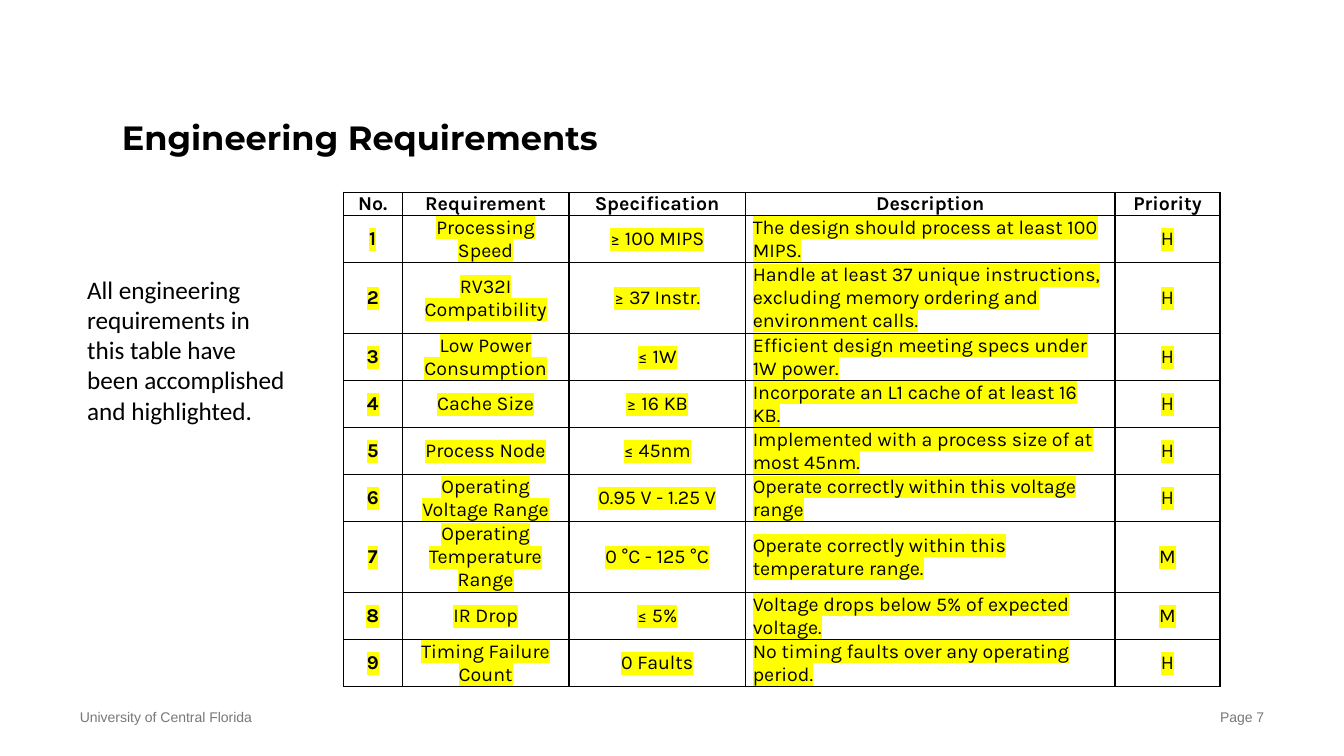
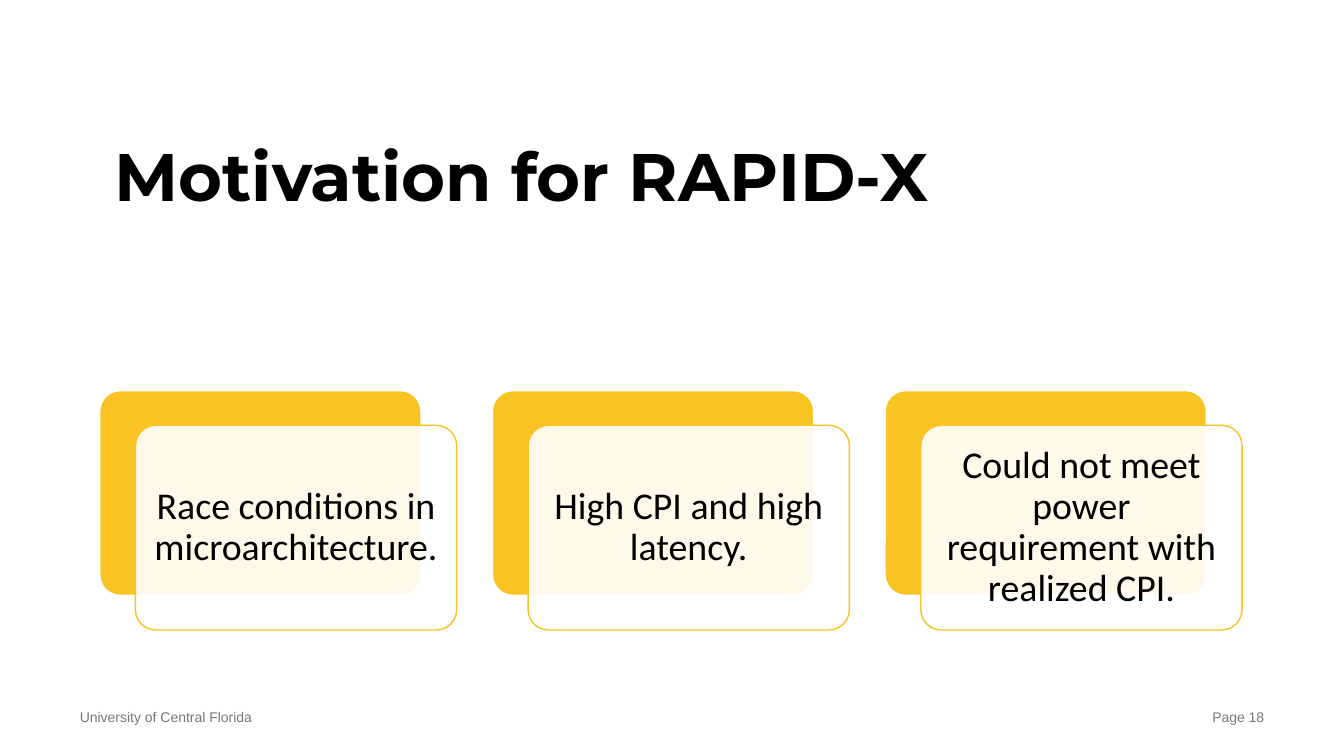
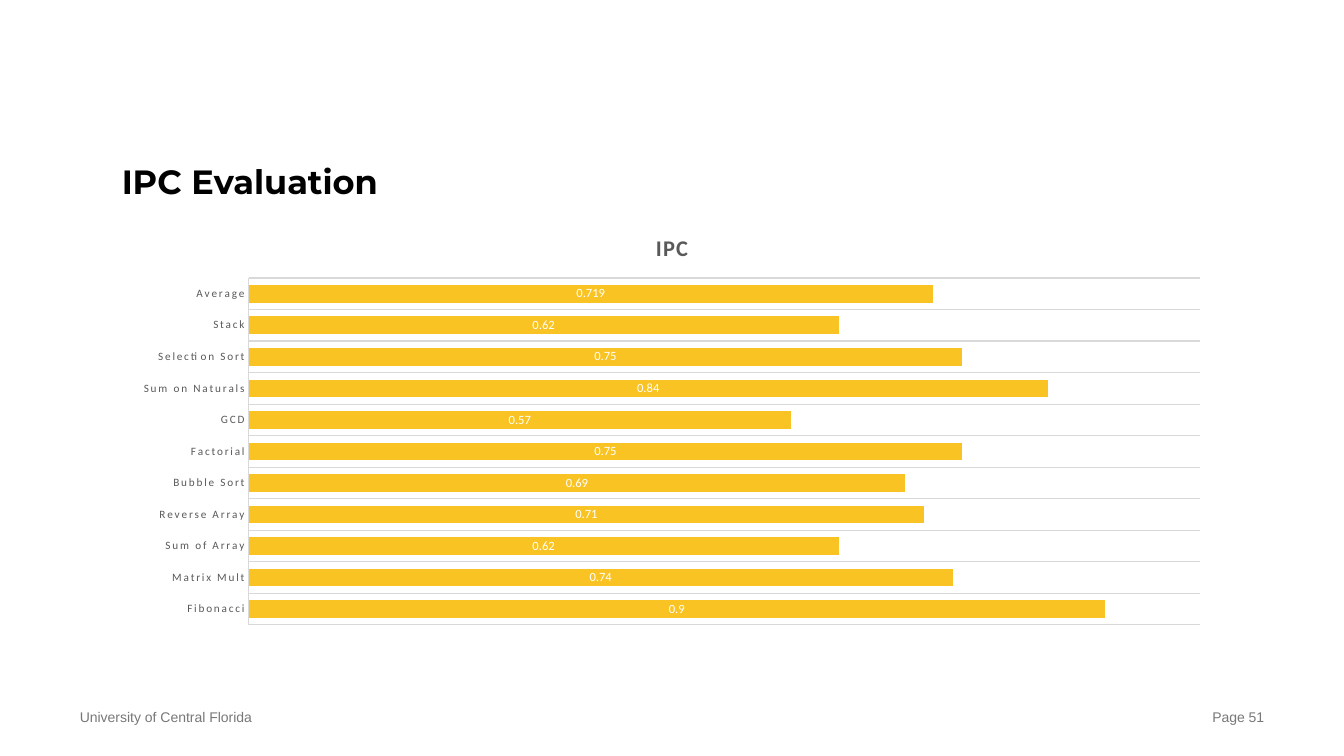
from lxml import etree
from pptx import Presentation
from pptx.chart.data import CategoryChartData
from pptx.dml.color import RGBColor
from pptx.enum.chart import XL_CHART_TYPE, XL_LABEL_POSITION, XL_TICK_MARK
from pptx.enum.shapes import MSO_SHAPE
from pptx.enum.text import MSO_ANCHOR, PP_ALIGN
from pptx.oxml.ns import qn
from pptx.util import Pt

PX = 9525  # EMU per px, 96 px to the inch

BLACK = RGBColor(0x00, 0x00, 0x00)
WHITE = RGBColor(0xFF, 0xFF, 0xFF)
GOLD = RGBColor(0xF8, 0xC3, 0x23)
YELLOW = RGBColor(0xFF, 0xFF, 0x00)
FOOTER_GREY = RGBColor(0x78, 0x78, 0x78)
CHART_GREY = RGBColor(0x59, 0x59, 0x59)
GRID_GREY = RGBColor(0xD9, 0xD9, 0xD9)

TITLE_FONT, BODY_FONT, TABLE_FONT, FOOTER_FONT = "Montserrat", "Calibri", "Karla", "Arial"

LEFT, CENTER, RIGHT = PP_ALIGN.LEFT, PP_ALIGN.CENTER, PP_ALIGN.RIGHT
TOP, MIDDLE, BOTTOM = MSO_ANCHOR.TOP, MSO_ANCHOR.MIDDLE, MSO_ANCHOR.BOTTOM
ROUNDED = MSO_SHAPE.ROUNDED_RECTANGLE
BAR_STACKED = XL_CHART_TYPE.BAR_STACKED
LABEL_CENTER = XL_LABEL_POSITION.CENTER
NO_TICK = XL_TICK_MARK.NONE

COLUMN_WIDTHS = (56, 159, 168, 352, 100)
TEXT_LINE = 21
HEADER = ("No.", "Requirement", "Specification", "Description", "Priority")
# Requirement, specification, description, priority, lines of text
REQUIREMENTS = (
    ("Processing Speed", "≥ 100 MIPS",
     "The design should process at least 100 MIPS.", "H", 2),
    ("RV32I Compatibility", "≥ 37 Instr.",
     "Handle at least 37 unique instructions, excluding memory ordering "
     "and environment calls.", "H", 3),
    ("Low Power Consumption", "≤ 1W",
     "Efficient design meeting specs under 1W power.", "H", 2),
    ("Cache Size", "≥ 16 KB",
     "Incorporate an L1 cache of at least 16 KB.", "H", 2),
    ("Process Node", "≤ 45nm",
     "Implemented with a process size of at most 45nm.", "H", 2),
    ("Operating Voltage Range", "0.95 V - 1.25 V",
     "Operate correctly within this voltage range", "H", 2),
    ("Operating Temperature Range", "0 °C - 125 °C",
     "Operate correctly within this temperature range.", "M", 3),
    ("IR Drop", "≤ 5%",
     "Voltage drops below 5% of expected voltage.", "M", 2),
    ("Timing Failure Count", "0 Faults",
     "No timing faults over any operating period.", "H", 2),
)

MOTIVATIONS = (
    "Race conditions in microarchitecture.",
    "High CPI and high latency.",
    "Could not meet power requirement with realized CPI.",
)

IPC = {
    "Fibonacci": 0.9, "Matrix Mult": 0.74, "Sum of Array": 0.62,
    "Reverse Array": 0.71, "Bubble Sort": 0.69, "Factorial": 0.75,
    "GCD": 0.57, "Sum on Naturals": 0.84, "Selection Sort": 0.75,
    "Stack": 0.62, "Average": 0.719,
}


def px(*lengths):
    return [n * PX for n in lengths]


def style_font(font, name, size, color, bold=False):
    font.name, font.size, font.bold = name, Pt(size), bold
    font.color.rgb = color


def style_line(line, color, width):
    line.color.rgb = color
    line.width = Pt(width)


def add_text(s, box, text, name, size, color=BLACK, bold=False, align=LEFT, anchor=TOP):
    tf = s.shapes.add_textbox(*px(*box)).text_frame
    tf.word_wrap = True
    tf.vertical_anchor = anchor
    tf.margin_left = tf.margin_top = tf.margin_right = tf.margin_bottom = 0
    p = tf.paragraphs[0]
    p.text, p.alignment = text, align
    style_font(p.font, name, size, color, bold)


def add_slide(prs, title, page, title_box, size=24, anchor=BOTTOM):
    """Add a blank slide with the shared footer and title style."""
    s = prs.slides.add_slide(prs.slide_layouts[6])
    for left, text, align in ((76, "University of Central Florida", LEFT),
                              (989, f"Page {page}", RIGHT)):
        add_text(s, (left, 675, 215, 16), text, FOOTER_FONT, 10, FOOTER_GREY, align=align)
    add_text(s, title_box, title, TITLE_FONT, size, bold=True, anchor=anchor)
    return s


def add_color(parent, color):
    etree.SubElement(parent, qn("a:srgbClr"), val=str(color))


def add_borders(cell):
    tc_pr = cell._tc.get_or_add_tcPr()
    for side in ("a:lnL", "a:lnR", "a:lnT", "a:lnB"):
        ln = etree.SubElement(tc_pr, qn(side), w=str(Pt(1)))
        add_color(etree.SubElement(ln, qn("a:solidFill")), BLACK)


def fill_cell(cell, text, align, bold, highlighted):
    cell.vertical_anchor = MIDDLE
    cell.margin_left = cell.margin_right = 7 * PX
    cell.margin_top = cell.margin_bottom = 0
    add_borders(cell)
    cell.fill.background()
    p = cell.text_frame.paragraphs[0]
    p.alignment = align
    r = p.add_run()
    r.text = text
    style_font(p.font, TABLE_FONT, 14, BLACK, bold)
    if highlighted:
        r_pr = r._r.get_or_add_rPr()
        add_color(etree.SubElement(r_pr, qn("a:highlight")), YELLOW)


def add_requirements_table(s):
    rows = [HEADER] + [(str(n), *row[:-1]) for n, row in enumerate(REQUIREMENTS, 1)]
    line_counts = [1] + [row[-1] for row in REQUIREMENTS]
    box = px(327, 183, sum(COLUMN_WIDTHS), TEXT_LINE * sum(line_counts))
    table = s.shapes.add_table(len(rows), len(HEADER), *box).table
    table.first_row = table.horz_banding = False
    for column, width in zip(table.columns, COLUMN_WIDTHS):
        column.width = width * PX
    for i, (row, count) in enumerate(zip(rows, line_counts)):
        table.rows[i].height = count * TEXT_LINE * PX
        for j, text in enumerate(row):
            is_description = i > 0 and HEADER[j] == "Description"
            fill_cell(table.cell(i, j), text, LEFT if is_description else CENTER,
                      bold=i == 0 or j == 0, highlighted=i > 0)


def add_panel(s, left, top, fill, line):
    panel = s.shapes.add_shape(ROUNDED, *px(left, top, 306, 195))
    panel.adjustments[0] = 0.1
    panel.shadow.inherit = False
    panel.fill.solid()
    panel.fill.fore_color.rgb = fill
    style_line(panel.line, line, 1)
    return panel


def add_card(s, left, top, text):
    """Add a gold panel with a translucent text panel offset in front."""
    add_panel(s, left, top, GOLD, WHITE)
    front = add_panel(s, left + 34, top + 33, WHITE, GOLD)
    color = front._element.spPr.find(qn("a:solidFill"))[0]
    etree.SubElement(color, qn("a:alpha"), val="90000")
    tf = front.text_frame
    tf.word_wrap = True
    tf.vertical_anchor = MIDDLE
    tf.margin_left = tf.margin_top = tf.margin_right = tf.margin_bottom = 10 * PX
    p = tf.paragraphs[0]
    p.text, p.alignment, p.line_spacing = text, CENTER, 0.9
    style_font(p.font, BODY_FONT, 27, BLACK)


def space_letters(element, spacing):
    """Set letter spacing, in hundredths of a point, on chart text."""
    for r_pr in element.iter(qn("a:defRPr")):
        r_pr.set("spc", str(spacing))


def add_ipc_chart(s):
    data = CategoryChartData()
    data.categories = list(IPC)
    data.add_series("IPC", list(IPC.values()))
    chart = s.shapes.add_chart(BAR_STACKED, *px(116, 205, 1048, 398), data).chart
    style_font(chart.font, BODY_FONT, 10, BLACK)
    chart.has_legend = False

    chart.has_title = True
    p = chart.chart_title.text_frame.paragraphs[0]
    p.text = "IPC"
    style_font(p.font, BODY_FONT, 16, CHART_GREY, bold=True)
    chart.chart_title.include_in_layout = False
    space_letters(chart.chart_title._element, 100)

    values = chart.value_axis
    values.minimum_scale, values.maximum_scale = 0, 1
    values.has_major_gridlines = False
    values.visible = False

    names = chart.category_axis
    names.major_tick_mark = names.minor_tick_mark = NO_TICK
    names.has_major_gridlines = True
    for line in (names.format.line, names.major_gridlines.format.line):
        style_line(line, GRID_GREY, 0.75)
    style_font(names.tick_labels.font, BODY_FONT, 8, CHART_GREY)
    space_letters(names._element, 120)

    plot = chart.plots[0]
    plot.gap_width, plot.overlap, plot.vary_by_categories = 79, 100, False
    bars = plot.series[0]
    bars.format.fill.solid()
    bars.format.fill.fore_color.rgb = GOLD
    labels = bars.data_labels
    labels.show_value = True
    labels.position = LABEL_CENTER
    style_font(labels.font, BODY_FONT, 9, WHITE)


def main():
    prs = Presentation()
    prs.slide_width, prs.slide_height = px(1280, 720)

    s = add_slide(prs, "Engineering Requirements", 7, (116, 74, 1048, 76))
    add_requirements_table(s)
    add_text(s, (83, 261, 193, 145),
             "All engineering requirements in this table have been accomplished "
             "and highlighted.", BODY_FONT, 18)

    s = add_slide(prs, "Motivation for RAPID-X", 18, (109, 85, 1068, 163), 48, MIDDLE)
    for i, text in enumerate(MOTIVATIONS):
        add_card(s, 95 + 374 * i, 372, text)

    s = add_slide(prs, "IPC Evaluation", 51, (116, 116, 1048, 76))
    add_ipc_chart(s)

    prs.save("out.pptx")


if __name__ == "__main__":
    main()
